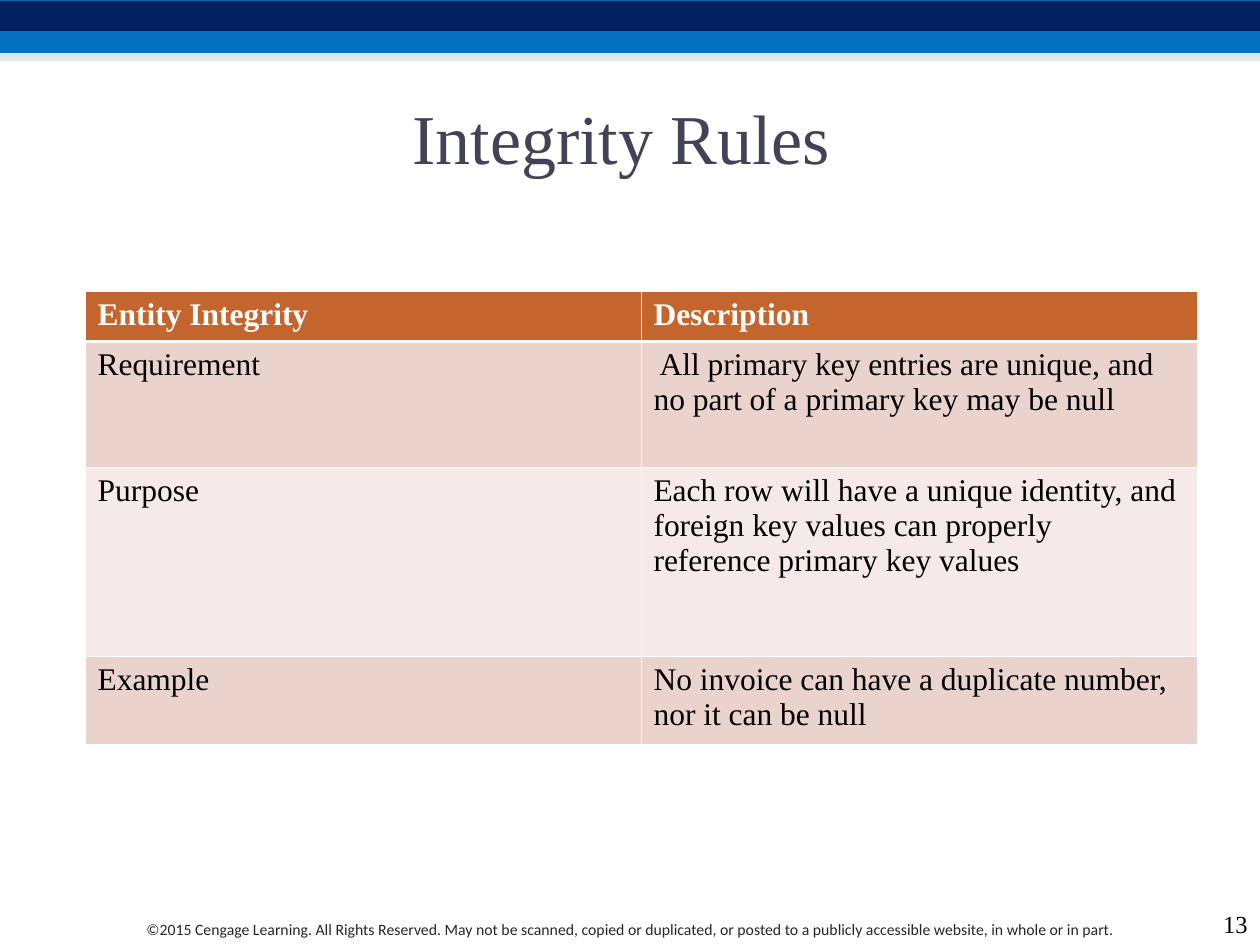
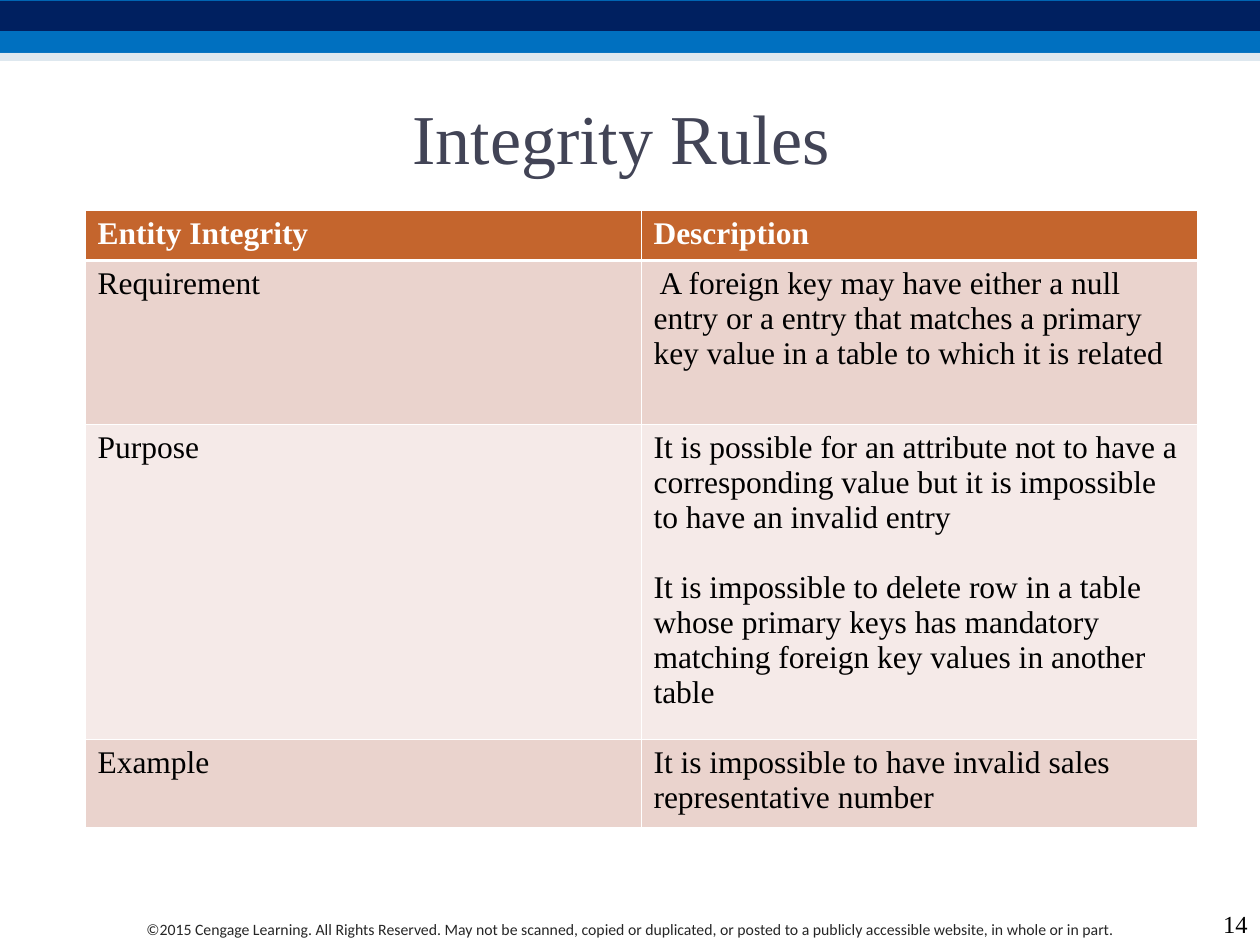
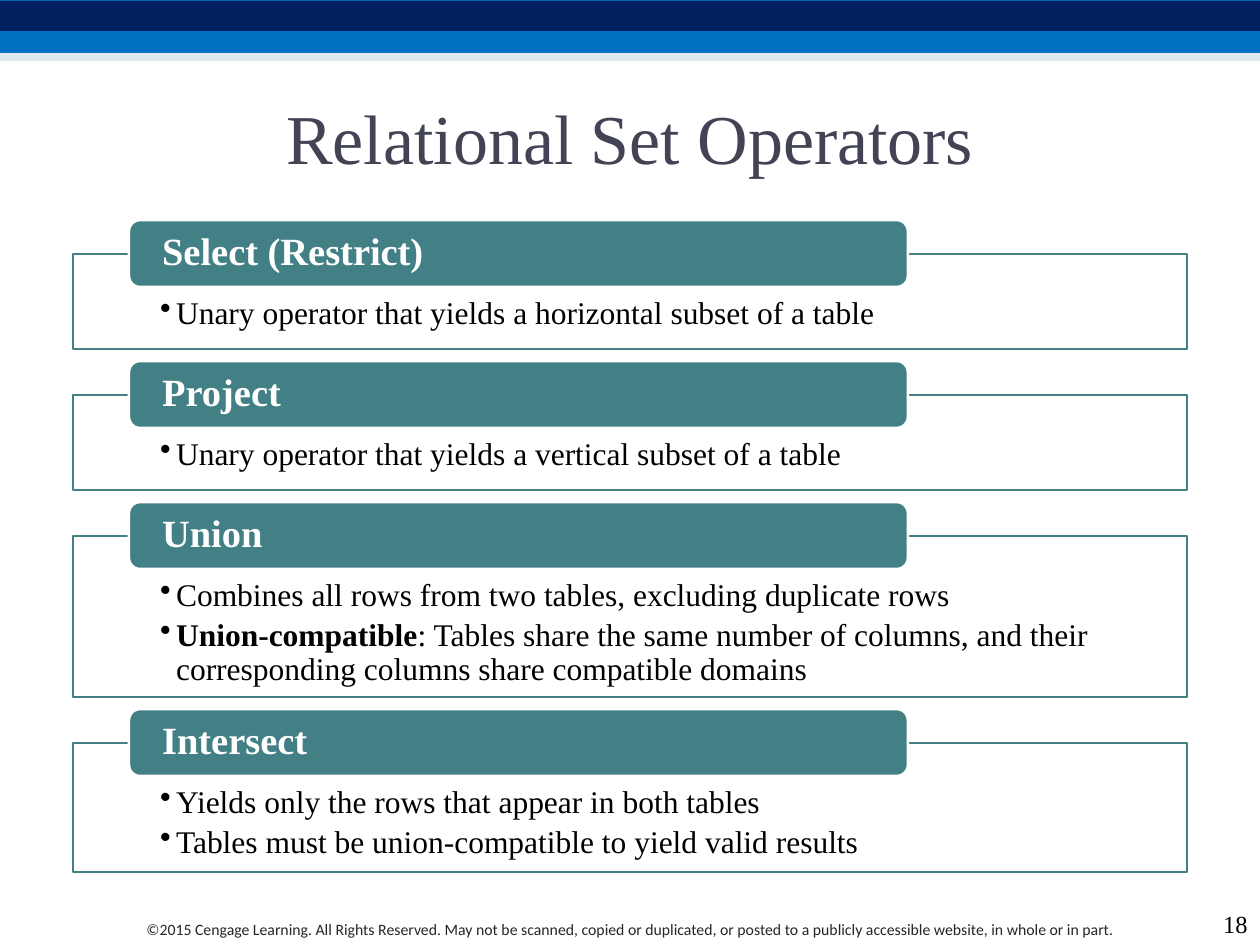
import lxml.etree
import pptx
import pptx.dml.color
import pptx.enum.shapes
import pptx.enum.text
import pptx.oxml.ns
import pptx.util

PX = 914400 / 126
SERIF = "Times New Roman"
COLORS = {
    "navy": "002060", "blue": "0070C0", "pale": "BED3E1", "title": "424456",
    "footer": "262626", "black": "000000", "white": "FFFFFF", "teal": "438086",
    "header": "C4652D", "odd": "EAD3CD", "even": "F5EAE8",
}
RGB = {name: pptx.dml.color.RGBColor.from_string(value) for name, value in COLORS.items()}
SHAPE = pptx.enum.shapes.MSO_SHAPE
ALIGN = pptx.enum.text.PP_ALIGN
ANCHOR = pptx.enum.text.MSO_ANCHOR
qn = pptx.oxml.ns.qn

COPYRIGHT = (
    "©2015 Cengage Learning. All Rights Reserved. May not be scanned, copied or duplicated, "
    "or posted to a publicly accessible website, in whole or in part."
)
BANDS = [
    (0, 53, "blue", 100),
    (1, 30, "navy", 100),
    (53, 8, "pale", 50),
]
SLIDES = [("Integrity Rules ", "13"), ("Integrity Rules ", "14"), ("Relational Set Operators", "18")]
INTEGRITY_TABLES = [
    (291, [50, 126, 189, 88], [
        [" All primary key entries are unique, and no part of a primary key may be null"],
        ["Each row will have a unique identity, and foreign key values can properly  reference "
         "primary key values"],
        ["No invoice can have a duplicate number, nor it can be null"],
    ]),
    (210, [50, 164, 315, 88], [
        [" A foreign key may have either a null entry or a entry that matches a primary key value "
         "in a table to which it is related"],
        ["It is possible for an attribute not to have a corresponding value but it is impossible "
         "to have an invalid entry",
         "It is impossible to delete row in a table whose primary keys has mandatory matching "
         "foreign key values in another table"],
        ["It is impossible to have invalid sales representative number"],
    ]),
]
ROW_LABELS = ["Requirement", "Purpose", "Example"]
OPERATORS = [
    ("Select (Restrict)", 95, [("", "Unary operator that yields a horizontal subset of a table")]),
    ("Project", 95, [("", "Unary operator that yields a vertical subset of a table")]),
    ("Union", 161, [
        ("", "Combines all rows from two tables, excluding duplicate rows"),
        ("Union-compatible", ": Tables share the same number of columns, and their corresponding "
                             "columns share compatible domains"),
    ]),
    ("Intersect", 129, [
        ("", "Yields only the rows that appear in both tables"),
        ("", "Tables must be union-compatible to yield valid results"),
    ]),
]


def px(*lengths):
    return [pptx.util.Emu(round(length * PX)) for length in lengths]


def add_block(slide, preset, box, fill, opacity=100, outline=None):
    block = slide.shapes.add_shape(preset, *px(*box))
    block.shadow.inherit = False
    block.fill.solid()
    block.fill.fore_color.rgb = RGB[fill]
    if opacity < 100:
        tint = block.fill._xPr.find(qn("a:solidFill"))[0]
        lxml.etree.SubElement(tint, qn("a:alpha"), val=str(opacity * 1000))
    if outline:
        block.line.color.rgb = RGB[outline]
        block.line.width = pptx.util.Pt(1.5)
    else:
        block.line.fill.background()
    return block


deck = pptx.Presentation()
deck.slide_width, deck.slide_height = px(1260, 945)

for title, number in SLIDES:
    slide = deck.slides.add_slide(deck.slide_layouts[6])
    for top, height, color, opacity in BANDS:
        add_block(slide, SHAPE.RECTANGLE, (0, top, 1260, height), color, opacity)
    for text, box, align, anchor, face, size, color in [
        (COPYRIGHT, (73, 914, 1113, 31), ALIGN.CENTER, ANCHOR.TOP, "Calibri", 9, "footer"),
        (title, (63, 63, 1134, 147), ALIGN.CENTER, ANCHOR.MIDDLE, SERIF, 40, "title"),
        (number, (1197, 903, 63, 42), ALIGN.RIGHT, ANCHOR.BOTTOM, SERIF, 14, "black"),
    ]:
        frame = slide.shapes.add_textbox(*px(*box)).text_frame
        frame.word_wrap = True
        frame.vertical_anchor = anchor
        paragraph = frame.paragraphs[0]
        paragraph.text = text
        paragraph.alignment = align
        paragraph.font.name = face
        paragraph.font.size = pptx.util.Pt(size)
        paragraph.font.color.rgb = RGB[color]

for slide, (top, heights, descriptions) in zip(deck.slides, INTEGRITY_TABLES):
    rules = slide.shapes.add_table(4, 2, *px(85, top, 1112, sum(heights))).table
    for column in rules.columns:
        column.width = px(556)[0]
    rows = [[["Entity Integrity"], ["Description"]]]
    rows += [[[label], description] for label, description in zip(ROW_LABELS, descriptions)]
    for row_index, (height, row) in enumerate(zip(heights, rows)):
        rules.rows[row_index].height = px(height)[0]
        is_header = row_index == 0
        for column_index, texts in enumerate(row):
            cell = rules.cell(row_index, column_index)
            properties = cell._tc.get_or_add_tcPr()
            for side in ("lnL", "lnR", "lnT", "lnB"):
                thick = (row_index, side) in [(0, "lnB"), (1, "lnT")]
                width = pptx.util.Pt(1.47 if thick else 0.45)
                border = lxml.etree.SubElement(properties, qn("a:" + side), w=str(width))
                paint = lxml.etree.SubElement(border, qn("a:solidFill"))
                lxml.etree.SubElement(paint, qn("a:srgbClr"), val=COLORS["white"])
            cell.fill.solid()
            cell.fill.fore_color.rgb = RGB["header" if is_header else "odd" if row_index % 2 else "even"]
            cell.text = "\n".join(texts)
            for index, paragraph in enumerate(cell.text_frame.paragraphs):
                if index:
                    paragraph.space_before = pptx.util.Pt(20)
                paragraph.font.name = SERIF
                paragraph.font.size = pptx.util.Pt(18)
                paragraph.font.bold = is_header
                paragraph.font.color.rgb = RGB["white" if is_header else "black"]

operators_slide = deck.slides[2]
panel_top = 254
for operator, panel_height, points in OPERATORS:
    panel = add_block(operators_slide, SHAPE.RECTANGLE, (73, panel_top, 1114, panel_height),
                      "white", 90, "teal")
    frame = panel.text_frame
    frame.word_wrap = True
    frame.vertical_anchor = ANCHOR.TOP
    frame.margin_left, frame.margin_top, frame.margin_right, frame.margin_bottom = px(87, 43, 87, 15)
    for index, (term, text) in enumerate(points):
        paragraph = frame.add_paragraph() if index else frame.paragraphs[0]
        indent = px(16)[0]
        properties = paragraph._p.get_or_add_pPr()
        properties.set("marL", str(indent))
        properties.set("indent", str(-indent))
        lxml.etree.SubElement(properties, qn("a:buChar"), char="•")
        paragraph.alignment = ALIGN.LEFT
        paragraph.line_spacing = 0.9
        paragraph.space_after = pptx.util.Pt(3.4)
        paragraph.font.name = SERIF
        paragraph.font.size = pptx.util.Pt(18)
        paragraph.font.color.rgb = RGB["black"]
        if term:
            term_run = paragraph.add_run()
            term_run.text = term
            term_run.font.bold = True
        paragraph.add_run().text = text

    heading = add_block(operators_slide, SHAPE.ROUNDED_RECTANGLE, (129, panel_top - 34, 779, 67),
                        "teal", outline="white")
    frame = heading.text_frame
    frame.word_wrap = True
    frame.vertical_anchor = ANCHOR.MIDDLE
    frame.margin_left, frame.margin_top, frame.margin_right, frame.margin_bottom = px(30, 0, 30, 0)
    paragraph = frame.paragraphs[0]
    paragraph.text = operator
    paragraph.alignment = ALIGN.LEFT
    paragraph.line_spacing = 0.9
    paragraph.font.name = SERIF
    paragraph.font.size = pptx.util.Pt(22)
    paragraph.font.bold = True
    paragraph.font.color.rgb = RGB["white"]
    panel_top += panel_height + 46

deck.save("out.pptx")
